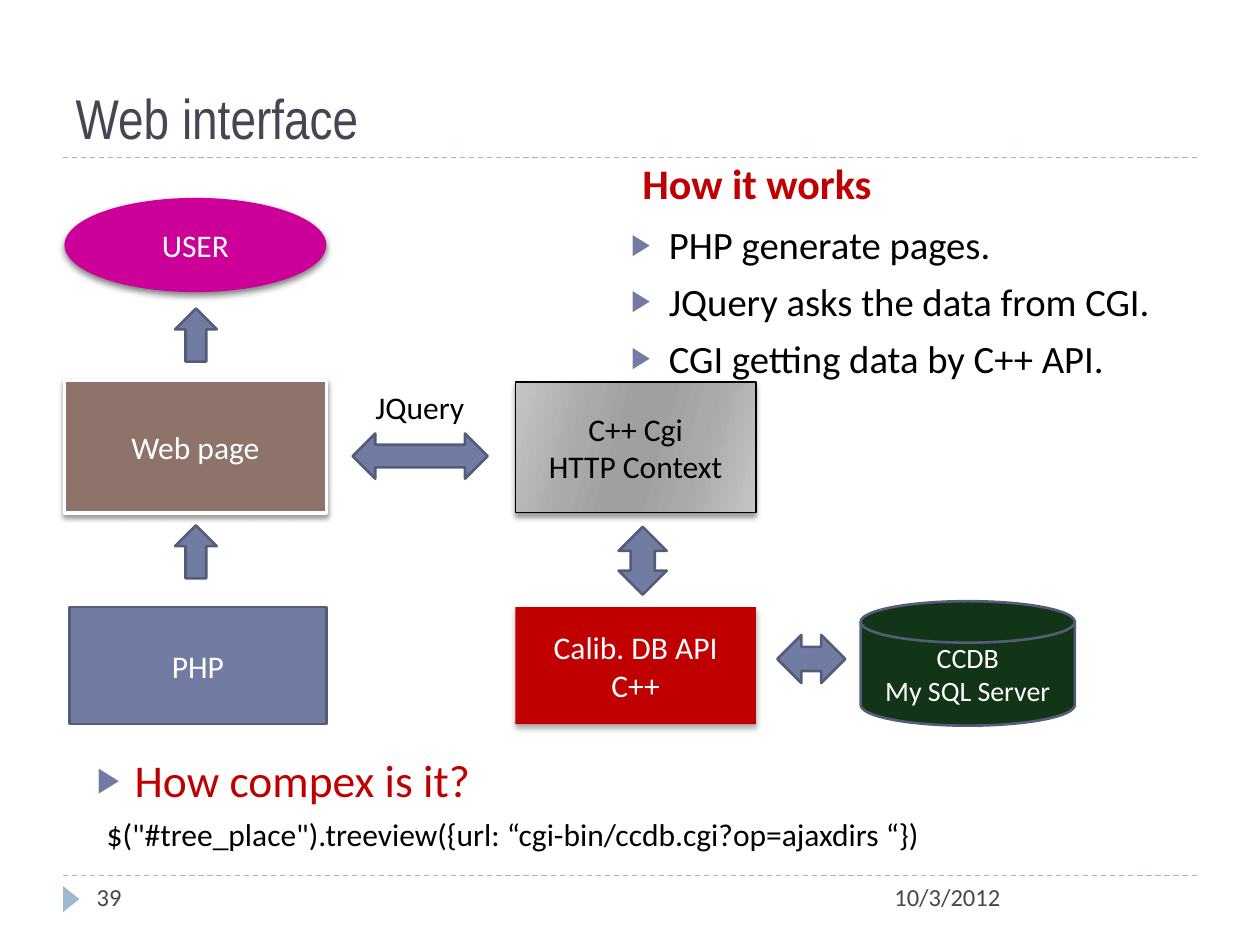
"""Build the "Web interface" architecture slide."""
import lxml.etree
import pptx
import pptx.dml.color
import pptx.enum.dml
import pptx.enum.shapes
import pptx.enum.text
import pptx.oxml.ns
import pptx.util

Cm = pptx.util.Cm
Pt = pptx.util.Pt
Shape = pptx.enum.shapes.MSO_SHAPE
Align = pptx.enum.text.PP_ALIGN
Anchor = pptx.enum.text.MSO_ANCHOR
qn = pptx.oxml.ns.qn


def rgb(value):
    return pptx.dml.color.RGBColor.from_string(value)


def add_child(parent, tag, **attributes):
    child = lxml.etree.SubElement(parent, qn(tag))
    for name, value in attributes.items():
        child.set(name, str(value))
    return child


class SlideBuilder:
    font = "Calibri"
    title_font = "Arial Narrow"
    black, white, red = "000000", "FFFFFF", "C00000"
    slate, edge, pale, ink = "727CA3", "545C79", "9FB8CD", "464653"

    def __init__(self, slide):
        self.slide = slide

    def set_text(self, frame, text, size, color, align=Align.LEFT, bold=False, font=None):
        frame.text = text
        for para in frame.paragraphs:
            para.alignment = align
            for span in para.runs:
                span.font.name = font or self.font
                span.font.size = Pt(size)
                span.font.bold = bold
                span.font.color.rgb = rgb(color)

    def place(self, box, left, top, width, height):
        box.left, box.top = Cm(left), Cm(top)
        box.width, box.height = Cm(width), Cm(height)
        box.text_frame.auto_size = pptx.enum.text.MSO_AUTO_SIZE.NONE

    def title(self, text, *area):
        box = self.slide.shapes.title
        self.place(box, *area)
        box.text_frame.vertical_anchor = Anchor.BOTTOM
        self.set_text(box.text_frame, text, 32, self.ink, font=self.title_font)

    def bullets(self, index, lines, size, color, *area):
        box = self.slide.placeholders[index]
        self.place(box, *area)
        self.set_text(box.text_frame, "\n".join(lines), size, color)
        for number, para in enumerate(box.text_frame.paragraphs):
            props = para._p.get_or_add_pPr()
            props.set("marL", str(Cm(0.76)))
            props.set("indent", str(Cm(-0.76)))
            add_child(add_child(props, "a:buClr"), "a:srgbClr", val=self.slate)
            add_child(props, "a:buSzPct", val=76000)
            add_child(props, "a:buChar", char="▶")
            para.space_before = Pt(6 if number else 0)

    def label(self, text, size, color, *area, bold=False, wrap=True):
        box = self.slide.shapes.add_textbox(*map(Cm, area))
        box.text_frame.word_wrap = wrap
        self.set_text(box.text_frame, text, size, color, bold=bold)

    def rule(self, top):
        line = self.slide.shapes.add_connector(
            pptx.enum.shapes.MSO_CONNECTOR.STRAIGHT, Cm(1.27), Cm(top), Cm(24.13), Cm(top))
        line.line.color.rgb = rgb(self.pale)
        line.line.width = Pt(0.75)
        line.line.dash_style = pptx.enum.dml.MSO_LINE.DASH
        add_child(line._element.spPr, "a:effectLst")

    def shape(self, kind, fill, *area, line=None, width=1.5, rotation=0):
        shape = self.slide.shapes.add_shape(kind, *map(Cm, area))
        shape.shadow.inherit = False
        shape.fill.solid()
        shape.fill.fore_color.rgb = rgb(fill)
        if line:
            shape.line.color.rgb = rgb(line)
            shape.line.width = Pt(width)
        else:
            shape.line.fill.background()
        shape.rotation = rotation
        return shape

    def node(self, kind, text, fill, *area, size=18, color=white, shadow=None, **outline):
        shape = self.shape(kind, fill, *area, **outline)
        shape.text_frame.vertical_anchor = Anchor.MIDDLE
        self.set_text(shape.text_frame, text, size, color, Align.CENTER)
        if shadow:
            self.cast_shadow(shape, *shadow)
        return shape

    def cast_shadow(self, shape, alpha, blur, distance):
        effects = shape._element.spPr.find(qn("a:effectLst"))
        outer = add_child(effects, "a:outerShdw", blurRad=Pt(blur), dist=Pt(distance),
                          dir=5400000, rotWithShape=0)
        shade = add_child(outer, "a:srgbClr", val=self.black)
        add_child(shade, "a:alpha", val=alpha * 1000)

    def gradient(self, shape, stops, angle):
        shape.fill.gradient()
        shape.fill.gradient_angle = 360 - angle
        stop_list = shape._element.spPr.find(qn("a:gradFill")).find(qn("a:gsLst"))
        for old in list(stop_list):
            stop_list.remove(old)
        for position, color in stops:
            stop = add_child(stop_list, "a:gs", pos=position * 1000)
            add_child(stop, "a:srgbClr", val=color)

    def arrow(self, kind, *area, rotation=0):
        self.shape(kind, self.slate, *area, line=self.edge, rotation=rotation)


def main():
    deck = pptx.Presentation()
    deck.slide_width, deck.slide_height = Cm(25.4), Cm(19.05)
    page = SlideBuilder(deck.slides.add_slide(deck.slide_layouts[3]))

    page.title("Web interface", 1.27, 0.43, 22.86, 2.74)
    for top in (3.18, 17.65):
        page.rule(top)
    page.shape(Shape.ISOSCELES_TRIANGLE, page.pale, 1.17, 17.96, 0.53, 0.33, rotation=90)

    soft = (40, 3, 2)
    page.node(Shape.OVAL, "USER", "CC0099", 1.3, 3.99, 5.28, 1.9, shadow=(50, 4, 2))
    page.node(Shape.RECTANGLE, "Web page", "8E736A", 1.3, 7.67, 5.28, 2.67,
              line=page.white, width=2, shadow=soft)
    page.node(Shape.RECTANGLE, "PHP", page.slate, 1.4, 12.24, 5.18, 2.36, line=page.edge)
    gateway = page.node(Shape.RECTANGLE, "C++ Cgi\vHTTP Context", "A0A0A0",
                        10.39, 7.7, 4.85, 2.64, color=page.black,
                        line=page.black, width=0.75, shadow=soft)
    page.gradient(gateway, [(0, "C5C5C5"), (30, "A9A9A9"), (45, "A0A0A0"),
                            (55, "A0A0A0"), (73, "A9A9A9"), (100, "C5C5C5")], 16)
    page.node(Shape.RECTANGLE, "Calib. DB API\nC++", page.red, 10.39, 12.24, 4.85, 2.36,
              shadow=(32, 3.5, 2.2))
    page.node(Shape.FLOWCHART_MAGNETIC_DISK, "CCDB\nMy SQL Server", "133517",
              17.35, 12.12, 4.32, 2.51, size=16, line=page.edge)

    for top in (6.22, 10.59):
        page.arrow(Shape.UP_ARROW, 3.53, top, 0.84, 1.07)
    page.arrow(Shape.LEFT_RIGHT_ARROW, 7.11, 8.74, 2.72, 0.91)
    page.arrow(Shape.LEFT_RIGHT_ARROW, 12.27, 10.82, 1.37, 0.97, rotation=90)
    page.arrow(Shape.LEFT_RIGHT_ARROW, 15.67, 12.8, 1.37, 0.97)

    page.label("JQuery", 18, page.black, 7.32, 7.7, 2.31, 1.02, wrap=False)
    page.label("How it works", 24, page.red, 12.7, 3.05, 11.43, 1.27, bold=True)
    page.bullets(2, ["PHP generate pages.", "JQuery asks the data from CGI.",
                     "CGI getting data by C++ API."],
                 22.1, page.black, 12.47, 4.32, 12.52, 2.97)
    page.bullets(1, ["How compex is it?"], 26, page.red, 1.7, 15.04, 22.86, 1.9)
    page.label('$("#tree_place").treeview({url: “cgi-bin/ccdb.cgi?op=ajaxdirs “})',
               18, page.black, 1.9, 16.31, 20.96, 1.02)
    page.label("39", 14, page.ink, 1.7, 17.65, 5.51, 1.02)
    page.label("10/3/2012", 14, page.ink, 17.78, 17.65, 6.35, 1.02)

    deck.save("out.pptx")


if __name__ == "__main__":
    main()
